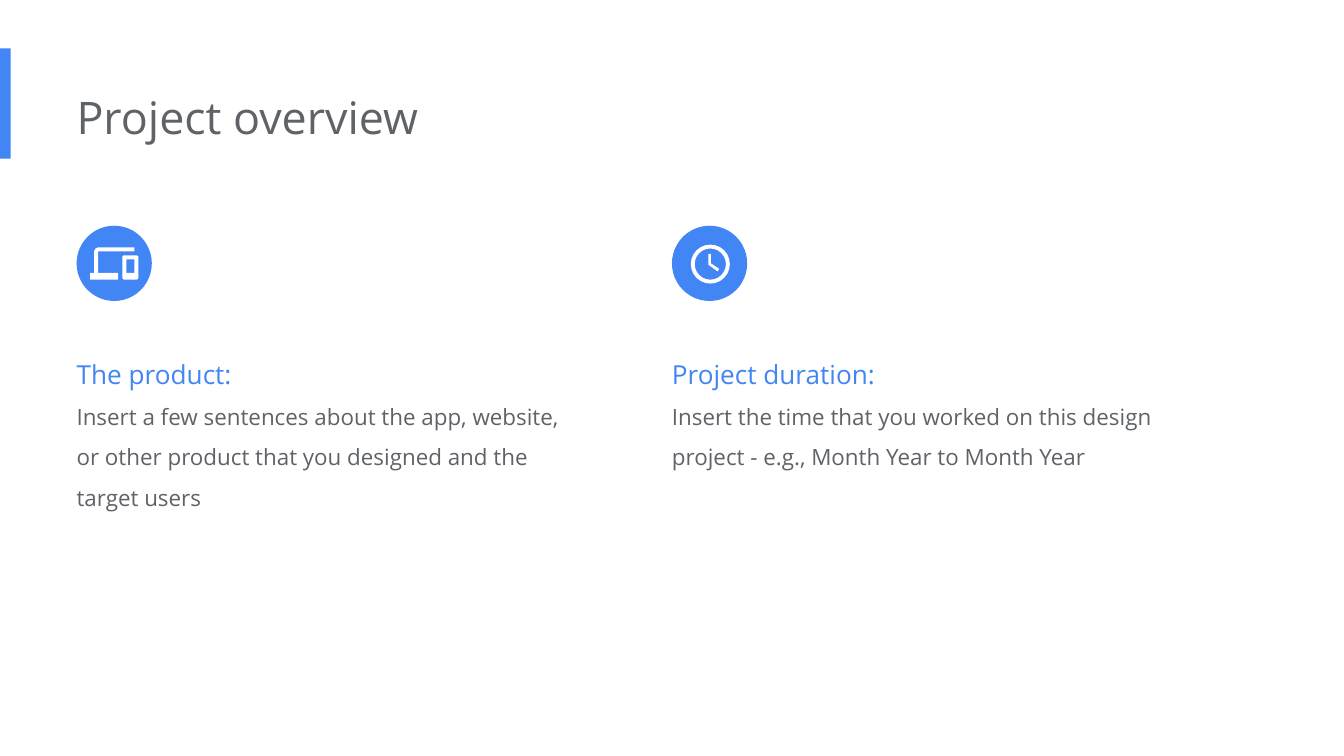
import dataclasses
import typing

import pptx
import pptx.dml.color
import pptx.enum.shapes
import pptx.enum.text
import pptx.util

Inches = pptx.util.Inches
Pt = pptx.util.Pt
RGB = pptx.dml.color.RGBColor
Kind = pptx.enum.shapes.MSO_SHAPE

BLUE = RGB(0x42, 0x85, 0xF4)
GRAY = RGB(0x5F, 0x63, 0x68)
WHITE = RGB(0xFF, 0xFF, 0xFF)
FONT = "Open Sans"
WIDTH = Inches(10)
HEIGHT = WIDTH * 9 // 16

Points = list[tuple[int, int]]

LAPTOP: Points = [
    (73, 187), (100, 187), (100, 184), (73, 184), (71, 185), (70, 187),
    (70, 203), (67, 203), (67, 208), (88, 208), (88, 203), (73, 203),
]
PHONE: Points = [
    (102, 190), (92, 190), (91, 191), (91, 207),
    (92, 208), (102, 208), (103, 207), (103, 191),
]
SCREEN: Points = [(100, 203), (94, 203), (94, 193), (100, 193)]
HANDS: Points = [
    (527, 189), (527, 197), (534, 202), (535, 200), (529, 196), (529, 189),
]


@dataclasses.dataclass
class Line:
    text: str
    size: int
    color: RGB
    space: float = 1.0


@dataclasses.dataclass
class Topic:
    left: float
    height: float
    head: str
    body: str


TOPICS = [
    Topic(0.57, 1.36, "The product:",
          "Insert a few sentences about the app, website, or other product "
          "that you designed and the target users"),
    Topic(5, 1.06, "Project duration:",
          "Insert the time that you worked on this design project - e.g., "
          "Month Year to Month Year"),
]


def paint(shape: typing.Any, color: RGB) -> None:
    shape.shadow.inherit = False
    shape.fill.solid()
    shape.fill.fore_color.rgb = color
    shape.line.fill.background()


def draw(slide: typing.Any, kind: Kind, left: float, top: float,
         width: float, height: float, color: RGB) -> typing.Any:
    shape = slide.shapes.add_shape(
        kind, Inches(left), Inches(top), Inches(width), Inches(height))
    paint(shape, color)
    return shape


def trace(slide: typing.Any, first: Points, *holes: Points) -> None:
    pen = slide.shapes.build_freeform(*first[0], scale=Inches(0.01))
    pen.add_line_segments(first[1:], close=True)
    for hole in holes:
        pen.move_to(*hole[0])
        pen.add_line_segments(hole[1:], close=True)
    paint(pen.convert_to_shape(), WHITE)


def write(slide: typing.Any, left: float, top: float, width: float,
          height: float, lines: list[Line]) -> None:
    box = slide.shapes.add_textbox(
        Inches(left), Inches(top), Inches(width), Inches(height))
    frame = box.text_frame
    frame.word_wrap = True
    frame.auto_size = pptx.enum.text.MSO_AUTO_SIZE.SHAPE_TO_FIT_TEXT
    frame.margin_left = 0
    frame.margin_right = frame.margin_top = frame.margin_bottom = Inches(0.1)
    for spot, line in enumerate(lines):
        para = frame.add_paragraph() if spot else frame.paragraphs[0]
        para.line_spacing = line.space
        run = para.add_run()
        run.text = line.text
        run.font.name = FONT
        run.font.size = Pt(line.size)
        run.font.color.rgb = line.color


def main() -> None:
    deck = pptx.Presentation()
    deck.slide_width = WIDTH
    deck.slide_height = HEIGHT
    slide = deck.slides.add_slide(deck.slide_layouts[6])

    draw(slide, Kind.RECTANGLE, 0, 0.36, 0.08, 0.82, BLUE)
    write(slide, 0.57, 0.57, 6.73, 0.61, [Line("Project overview", 24, GRAY)])
    for topic in TOPICS:
        draw(slide, Kind.OVAL, topic.left, 1.68, 0.56, 0.56, BLUE)
        write(slide, topic.left, 2.45, 3.77, topic.height, [
            Line(topic.head, 14, BLUE, 1.5),
            Line(topic.body, 12, GRAY, 1.5),
        ])

    trace(slide, LAPTOP)
    trace(slide, PHONE, SCREEN)
    ring = draw(slide, Kind.DONUT, 5.14, 1.82, 0.29, 0.29, WHITE)
    ring.adjustments[0] = 0.1
    trace(slide, HANDS)
    deck.save("out.pptx")


if __name__ == "__main__":
    main()
